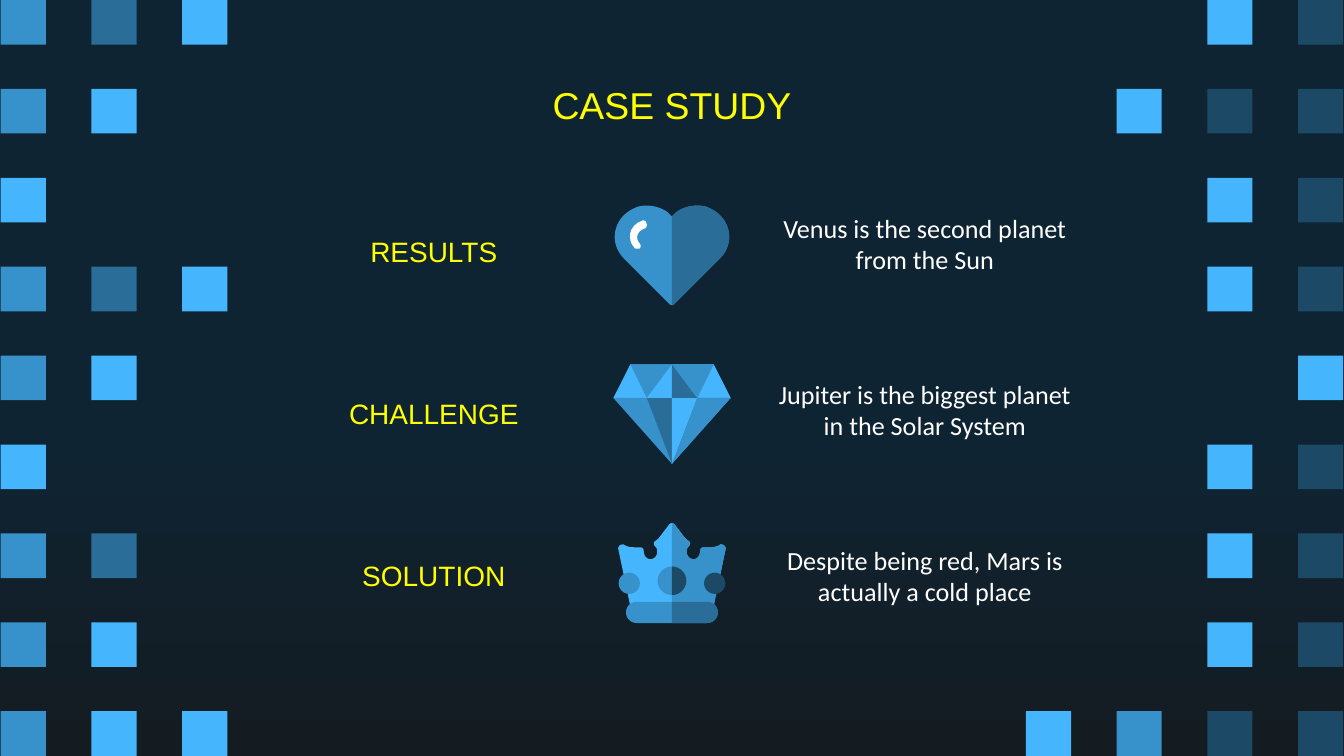
from pptx import Presentation
from pptx.dml.color import RGBColor
from pptx.enum.shapes import MSO_SHAPE
from pptx.enum.text import MSO_ANCHOR, PP_ALIGN
from pptx.util import Pt

NIGHT = RGBColor(0x0E, 0x24, 0x33)
COAL = RGBColor(0x14, 0x1C, 0x21)
SKY = RGBColor(0x45, 0xB6, 0xFE)
AZURE = RGBColor(0x37, 0x92, 0xCB)
STEEL = RGBColor(0x29, 0x6D, 0x98)
NAVY = RGBColor(0x1C, 0x49, 0x66)
YELLOW = RGBColor(0xFF, 0xFF, 0x00)
WHITE = RGBColor(0xFF, 0xFF, 0xFF)

# Content
TITLE = "CASE STUDY"
CASES = [
    ("RESULTS", "Venus is the second planet from the Sun"),
    ("CHALLENGE", "Jupiter is the biggest planet in the Solar System"),
    ("SOLUTION", "Despite being red, Mars is actually a cold place"),
]

# Border squares, one letter per grid cell: Sky, Azure, sTeel, Navy
SQUARE_COLORS = {"S": SKY, "A": AZURE, "T": STEEL, "N": NAVY}
LEFT_SQUARES = ["ATS", "AS.", "S..", "ATS", "AS.", "S..", "AT.", "AS.", "ASS"]
RIGHT_SQUARES = ["..SN", ".SNN", "..SN", "..SN", "...S", "..SN", "..SN", "..SN", "SANN"]

# Right halves of the icons, measured from the axis and the icon top.
# Two numbers are a corner, six numbers are a Bezier curve.
HEART = [
    (0, 5.8), (2.2, 3.6), (5, 1.4, 9.4, 0, 13, 0), (15.1, 0, 16.6, 0, 18.7, 0.7),
    (24.5, 2.9, 28.8, 7.2, 30.2, 13), (31.7, 18.7, 29.5, 24.5, 25.9, 28.1),
    (1.4, 52.6), (0.7, 53.3, 0.7, 53.3, 0, 53.3),
]
HEART_SHINE = [
    (-15.8, 7.9), (-23.8, 10.8, -23.8, 18.7, -20.2, 22.3),
    (-20.2, 23, -19.4, 23, -18.7, 23), (-18.7, 23, -18, 23, -17.3, 23),
    (-16.6, 22.3, -16.6, 20.9, -17.3, 20.2), (-19.4, 18, -19.4, 13.7, -14.4, 12.2),
    (-13.7, 11.5, -13, 10.8, -13.7, 9.4), (-13.7, 8.6, -14.4, 7.9, -15.1, 7.9),
]
CROWN_BODY = [
    (0, 0), (0.7, 0, 1.4, 0.7, 1.4, 0.7), (6.5, 7.2, 6.5, 7.9, 8.6, 9.4),
    (10.1, 10.1, 10.1, 11.5, 8.6, 13), (7.9, 13.7, 7.9, 14.4, 7.9, 15.8),
    (7.9, 17.3, 9.4, 19.4, 11.5, 19.4), (13.7, 19.4, 15.1, 17.3, 15.1, 15.1),
    (15.1, 13.7, 15.8, 13, 17.3, 13), (19.4, 13), (21.6, 13, 23.8, 13, 25.9, 11.5),
    (26.6, 11.5), (28.1, 11.5, 28.8, 13, 28.8, 13.7), (22.3, 44.6), (0, 44.6),
]
CROWN_GEM = [(0, 23.3), (4.2, 23.3, 7.7, 26.8, 7.7, 31), (7.7, 35.2, 4.2, 38.6, 0, 38.6)]
CROWN_BASE = [
    (0, 42.2), (18.9, 42.2), (22.1, 42.2, 24.6, 44.8, 24.6, 47.9),
    (24.6, 51, 22.1, 53.6, 18.9, 53.6), (0, 53.6),
]
# Each icon: (half outline, colour of the whole, colour of the right half)
ICONS = [
    [(HEART, AZURE, STEEL)],
    [
        ([(0, 0), (22.3, 0), (31.4, 18), (0, 18)], SKY, SKY),
        ([(0, 18), (31.4, 18), (0, 53.3)], AZURE, AZURE),
        ([(0, 18), (13.5, 18), (0, 53.3)], STEEL, SKY),
        ([(0, 0), (22.3, 0), (13.5, 18), (0, 18)], AZURE, AZURE),
        ([(0, 0), (13.5, 18), (0, 18)], SKY, STEEL),
    ],
    [(CROWN_BODY, SKY, AZURE), (CROWN_GEM, AZURE, NAVY), (CROWN_BASE, AZURE, STEEL)],
]
CROWN_SIDE_GEMS = [(-28.6, AZURE), (17.2, NAVY)]

AXIS, ICON_TOP, ICON_PITCH = 360, 110.2, 85
CURVE_STEPS = 8


def paint(shape, color):
    shape.fill.solid()
    shape.fill.fore_color.rgb = color
    shape.line.fill.background()
    shape.shadow.inherit = False


def flatten(outline):
    points = []
    for item in outline:
        if len(item) == 2:
            points.append(item)
            continue
        curve = [points[-1], item[:2], item[2:4], item[4:]]
        for step in range(1, CURVE_STEPS + 1):
            t = step / CURVE_STEPS
            weights = ((1 - t) ** 3, 3 * t * (1 - t) ** 2, 3 * t * t * (1 - t), t ** 3)
            points.append(tuple(sum(w * p[k] for w, p in zip(weights, curve)) for k in (0, 1)))
    return points


def draw_outline(icon, points, top, color):
    corners = [(Pt(AXIS + x), Pt(top + y)) for x, y in points]
    builder = icon.shapes.build_freeform(*corners[0])
    builder.add_line_segments(corners[1:], close=True)
    paint(builder.convert_to_shape(), color)


def add_text(slide, text, box, font_name, size, color, anchor=MSO_ANCHOR.TOP):
    frame = slide.shapes.add_textbox(*map(Pt, box)).text_frame
    frame.word_wrap = True
    frame.vertical_anchor = anchor
    frame.margin_left = frame.margin_right = Pt(7.2)
    frame.margin_top = frame.margin_bottom = Pt(7.2)
    paragraph = frame.paragraphs[0]
    paragraph.text = text
    paragraph.alignment = PP_ALIGN.CENTER
    paragraph.font.name = font_name
    paragraph.font.size = Pt(size)
    paragraph.font.color.rgb = color


def draw_squares(slide, rows, left):
    for r, row in enumerate(rows):
        for c, letter in enumerate(row):
            if letter in SQUARE_COLORS:
                square = slide.shapes.add_shape(
                    MSO_SHAPE.RECTANGLE, Pt(left + 48.6 * c), Pt(47.63 * r), Pt(24.2), Pt(23.9))
                paint(square, SQUARE_COLORS[letter])


def main():
    prs = Presentation()
    prs.slide_width, prs.slide_height = Pt(720), Pt(405)
    slide = prs.slides.add_slide(prs.slide_layouts[6])

    # Background, dark blue fading to coal at the bottom
    background = slide.background.fill
    background.gradient()
    background.gradient_angle = 270
    for stop, position, color in zip(background.gradient_stops, (0.56, 1), (NIGHT, COAL)):
        stop.position = position
        stop.color.rgb = color

    draw_squares(slide, LEFT_SQUARES, 0.4)
    draw_squares(slide, RIGHT_SQUARES, 549.6)

    # Title, labels and descriptions
    add_text(slide, TITLE, (56.4, 42.8, 607.2, 26), "Arial", 20, YELLOW, MSO_ANCHOR.MIDDLE)
    for i, (label, description) in enumerate(CASES):
        add_text(slide, label, (153.2, 118.2 + 86.8 * i, 158.4, 30), "Arial", 15, YELLOW)
        add_text(slide, description, (404.8, 106.6 + 88.9 * i, 181.4, 53.4), "Calibri", 14, WHITE)

    # Icons: each part whole, then its right half on top
    for i, parts in enumerate(ICONS):
        top = ICON_TOP + ICON_PITCH * i
        icon = slide.shapes.add_group_shape()
        for outline, whole_color, half_color in parts:
            half = flatten(outline)
            mirrored = [(-x, y) for x, y in reversed(half)]
            draw_outline(icon, half + mirrored, top, whole_color)
            draw_outline(icon, half, top, half_color)
        if i == 0:
            draw_outline(icon, flatten(HEART_SHINE), top, WHITE)
        if i == 2:
            for x, color in CROWN_SIDE_GEMS:
                paint(icon.shapes.add_shape(
                    MSO_SHAPE.OVAL, Pt(AXIS + x), Pt(top + 26.6), Pt(11.4), Pt(11.4)), color)

    prs.save("out.pptx")


if __name__ == "__main__":
    main()
